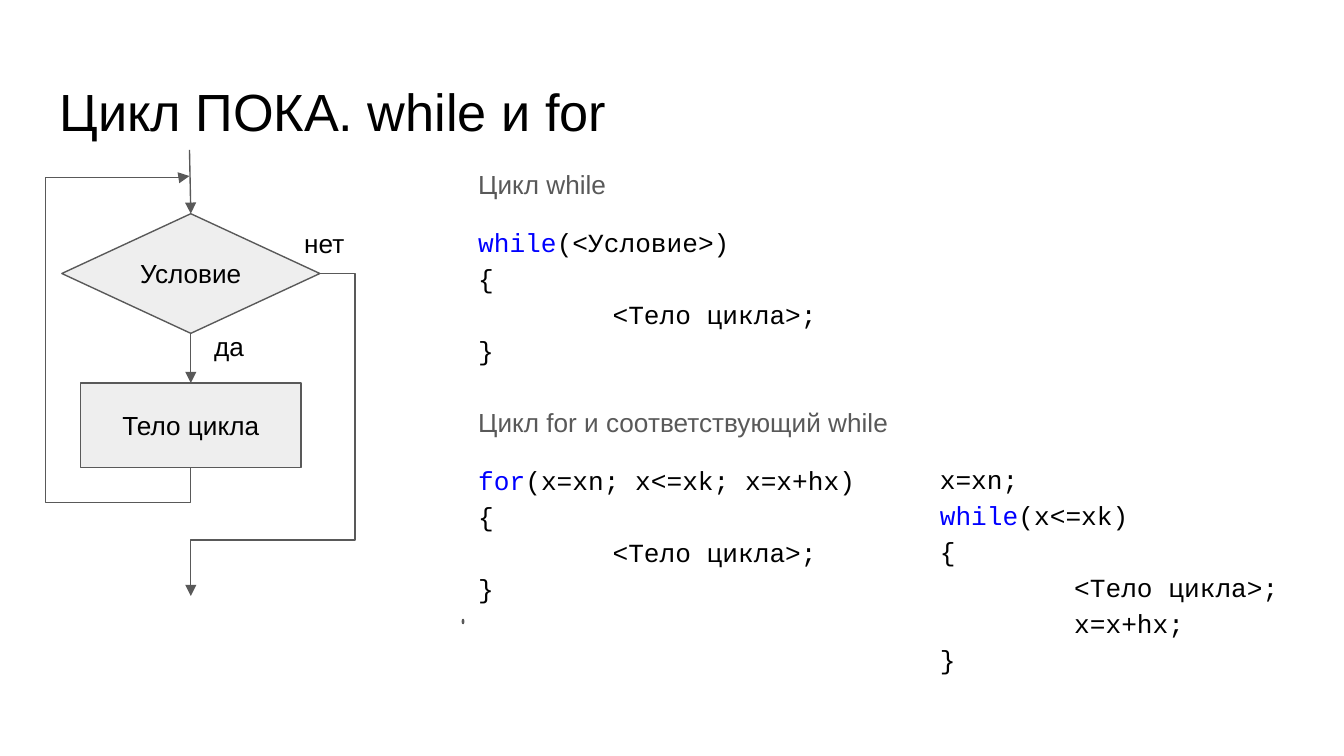
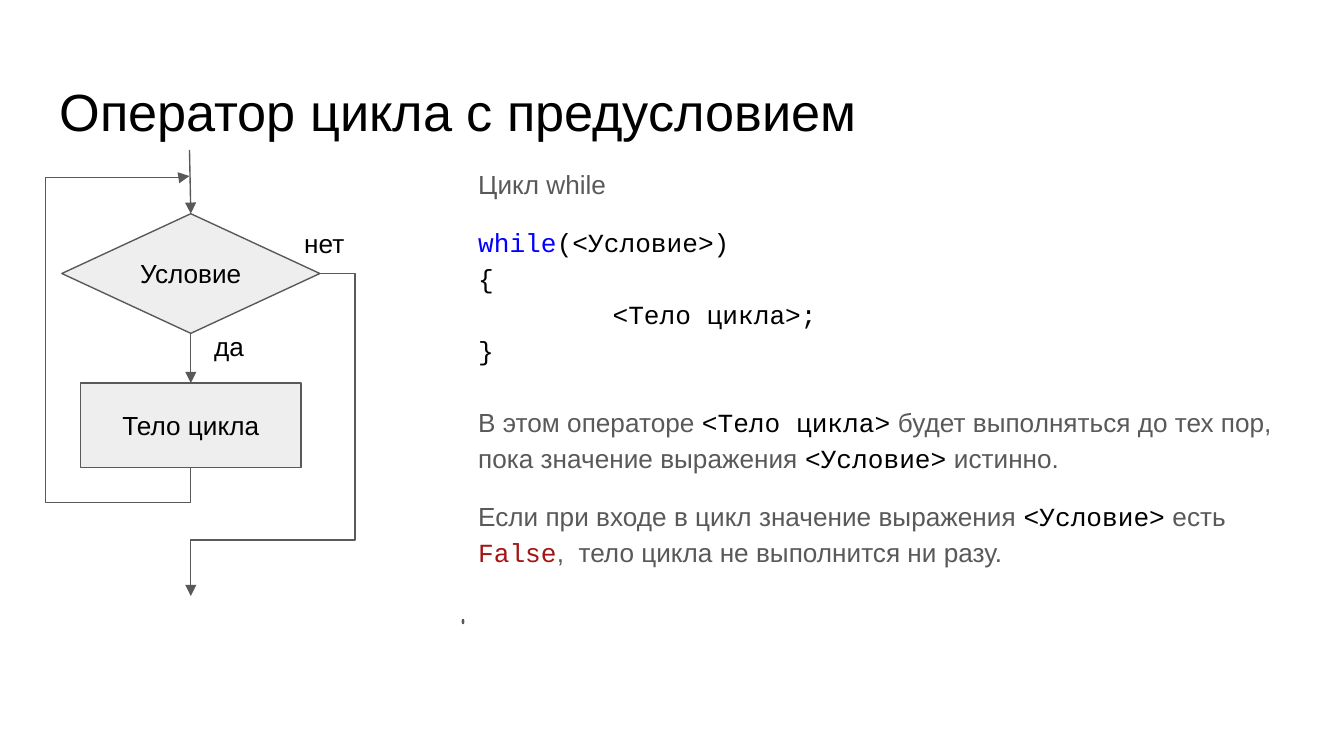
from dataclasses import dataclass

from lxml.etree import SubElement
from pptx import Presentation
from pptx.dml.color import RGBColor
from pptx.enum.shapes import MSO_CONNECTOR as Link, MSO_SHAPE as Preset
from pptx.enum.text import MSO_ANCHOR as Anchor, MSO_AUTO_SIZE as AutoSize, PP_ALIGN as Align
from pptx.oxml.ns import qn
from pptx.util import Pt

PX = 4572  # 200 px to the inch
TOP, RIGHT, BOTTOM = 0, 3, 2  # connection sites


@dataclass(frozen=True)
class Theme:
    ink: str = "000000"
    muted: str = "595959"
    panel: str = "EEEEEE"
    keyword: str = "0000FF"
    literal: str = "A31515"
    sans: str = "Arial"
    mono: str = "Courier New"
    title_size: int = 28
    body_size: int = 14
    stroke: float = 0.75
    inset: int = 20
    tab: int = 200
    leading: float = 1.15
    gap: int = 12
    blank_line: int = 19


THEME = Theme()

# Run styles: font, colour
LABEL = (THEME.sans, THEME.ink)
PROSE = (THEME.sans, THEME.muted)
CODE = (THEME.mono, THEME.ink)
KEYWORD = (THEME.mono, THEME.keyword)
LITERAL = (THEME.mono, THEME.literal)


@dataclass
class Line:
    runs: list
    before: float = 0
    after: float = 0
    tabbed: bool = False


def code_block(keyword, header, *body, before=0):
    """Lines of a loop: its header, then its indented body in braces."""
    return [
        Line([(keyword, KEYWORD), (header, CODE)], before),
        Line([("{", CODE)]),
        *(Line([("\t" + statement, CODE)], tabbed=True) for statement in body),
        Line([("}", CODE)]),
    ]


BODY = "<Тело цикла>"
CONDITION = "<Условие>"
WHILE_SYNTAX = [
    Line([("Цикл while", PROSE)]),
    *code_block("while", f"({CONDITION})", BODY + ";", before=THEME.gap),
]
FOR_SYNTAX = [
    Line([("Цикл for и соответствующий while", PROSE)], THEME.blank_line),
    *code_block("for", "(x=xn; x<=xk; x=x+hx)", BODY + ";", before=THEME.gap),
]
FOR_AS_WHILE = [
    Line([("x=xn;", CODE)]),
    *code_block("while", "(x<=xk)", BODY + ";", "x=x+hx;"),
]
EXPLANATION = [
    Line([
        ("В этом операторе ", PROSE), (BODY, CODE),
        (" будет выполняться до тех пор, пока значение выражения ", PROSE),
        (CONDITION, CODE), (" истинно.", PROSE),
    ], THEME.blank_line),
    Line([
        ("Если при входе в цикл значение выражения ", PROSE), (CONDITION, CODE),
        (" есть ", PROSE), ("False", LITERAL),
        (",  тело цикла не выполнится ни разу.", PROSE),
    ], THEME.gap, THEME.gap),
]


def rgb(colour):
    return RGBColor.from_string(colour)


def emu(*lengths):
    return [length * PX for length in lengths]


def set_insets(frame):
    frame.word_wrap = True
    frame.margin_left = frame.margin_right = THEME.inset * PX
    frame.margin_top = frame.margin_bottom = THEME.inset * PX


def add_run(paragraph, words, style, size=THEME.body_size):
    run = paragraph.add_run()
    run.text = words
    run.font.name, colour = style
    run.font.size = Pt(size)
    run.font.color.rgb = rgb(colour)


def caption(slide, box, words, size=THEME.body_size, fit=AutoSize.NONE):
    frame = slide.shapes.add_textbox(*emu(*box)).text_frame
    set_insets(frame)
    frame.auto_size = fit
    add_run(frame.paragraphs[0], words, LABEL, size)


def text_column(slide, box, lines):
    frame = slide.shapes.add_textbox(*emu(*box)).text_frame
    set_insets(frame)
    for index, line in enumerate(lines):
        paragraph = frame.add_paragraph() if index else frame.paragraphs[0]
        paragraph.line_spacing = THEME.leading
        paragraph.space_before = Pt(line.before)
        paragraph.space_after = Pt(line.after)
        if line.tabbed:
            stops = SubElement(paragraph._p.get_or_add_pPr(), qn("a:tabLst"))
            SubElement(stops, qn("a:tab"), pos=str(THEME.tab * PX), algn="l")
        for words, style in line.runs:
            add_run(paragraph, words, style)


def block(slide, preset, box, words=""):
    node = slide.shapes.add_shape(preset, *emu(*box))
    node.shadow.inherit = False
    node.fill.solid()
    node.fill.fore_color.rgb = rgb(THEME.panel)
    node.line.color.rgb = rgb(THEME.muted)
    node.line.width = Pt(THEME.stroke)
    if words:
        frame = node.text_frame
        set_insets(frame)
        frame.vertical_anchor = Anchor.MIDDLE
        frame.paragraphs[0].alignment = Align.CENTER
        add_run(frame.paragraphs[0], words, LABEL)
    return node


def arrow(slide, start, end, source=None, target=None, bends=(), turn=0):
    """Arrow between two points; bends are adjustments in 1/100000."""
    kind = Link.ELBOW if bends else Link.STRAIGHT
    link = slide.shapes.add_connector(kind, *emu(*start, *end))
    if source:
        link.begin_connect(*source)
        link.begin_x, link.begin_y = emu(*start)
    if target:
        link.end_connect(*target)
        link.end_x, link.end_y = emu(*end)
    link.line.color.rgb = rgb(THEME.muted)
    link.line.width = Pt(THEME.stroke)
    properties = link._element.spPr
    SubElement(properties.find(qn("a:ln")), qn("a:tailEnd"), type="triangle")
    SubElement(properties, qn("a:effectLst"))
    if bends:
        geometry = properties.find(qn("a:prstGeom"))
        geometry.set("prst", f"bentConnector{len(bends) + 2}")
        guides = geometry.find(qn("a:avLst"))
        for number, value in enumerate(bends, 1):
            SubElement(guides, qn("a:gd"), name=f"adj{number}", fmla=f"val {value}")
    if turn:
        properties.find(qn("a:xfrm")).set("rot", str(turn * 60000))


def flowchart(slide, left, top):
    """Loop with the condition checked first."""
    def at(x, y, *size):
        return (left + x, top + y, *size)

    # Blocks
    loop_body = block(slide, Preset.RECTANGLE, at(52, 347, 328, 126), "Тело цикла")
    condition = block(slide, Preset.DIAMOND, at(24, 95, 384, 178), "Условие")
    block(slide, Preset.OVAL, at(620, 699, 2, 6))

    # Entry and the "yes" branch
    arrow(slide, at(214, 0), at(216, 95), target=(condition, TOP))
    arrow(slide, at(216, 273), at(216, 347), (condition, BOTTOM), (loop_body, TOP))
    caption(slide, at(231, 249, 88, 88), "да", fit=AutoSize.SHAPE_TO_FIT_TEXT)

    # Return to the condition, drawn flat and turned upright
    arrow(slide, at(432, 255), at(-2, 257), (loop_body, BOTTOM),
          bends=(-12000, 11000000, 99500), turn=90)

    # Exit by the "no" branch
    arrow(slide, at(408, 184), at(216, 664), (condition, RIGHT), bends=(-27200, 82600))
    caption(slide, at(365, 95, 110, 88), "нет", fit=AutoSize.SHAPE_TO_FIT_TEXT)


def loop_slide(deck, title, *columns):
    slide = deck.slides.add_slide(deck.slide_layouts[6])
    caption(slide, (69, 98, 1864, 126), title, THEME.title_size)
    flowchart(slide, 68, 223)
    for box, lines in columns:
        text_column(slide, box, lines)


def main():
    deck = Presentation()
    deck.slide_width, deck.slide_height = emu(2000, 1125)
    loop_slide(
        deck, "Цикл ПОКА. while и for",
        ((692, 223, 686, 748), WHILE_SYNTAX + FOR_SYNTAX),
        ((1379, 663, 620, 342), FOR_AS_WHILE),
    )
    loop_slide(
        deck, "Оператор цикла с предусловием",
        ((692, 223, 1240, 748), WHILE_SYNTAX + EXPLANATION),
    )
    deck.save("out.pptx")


if __name__ == "__main__":
    main()
